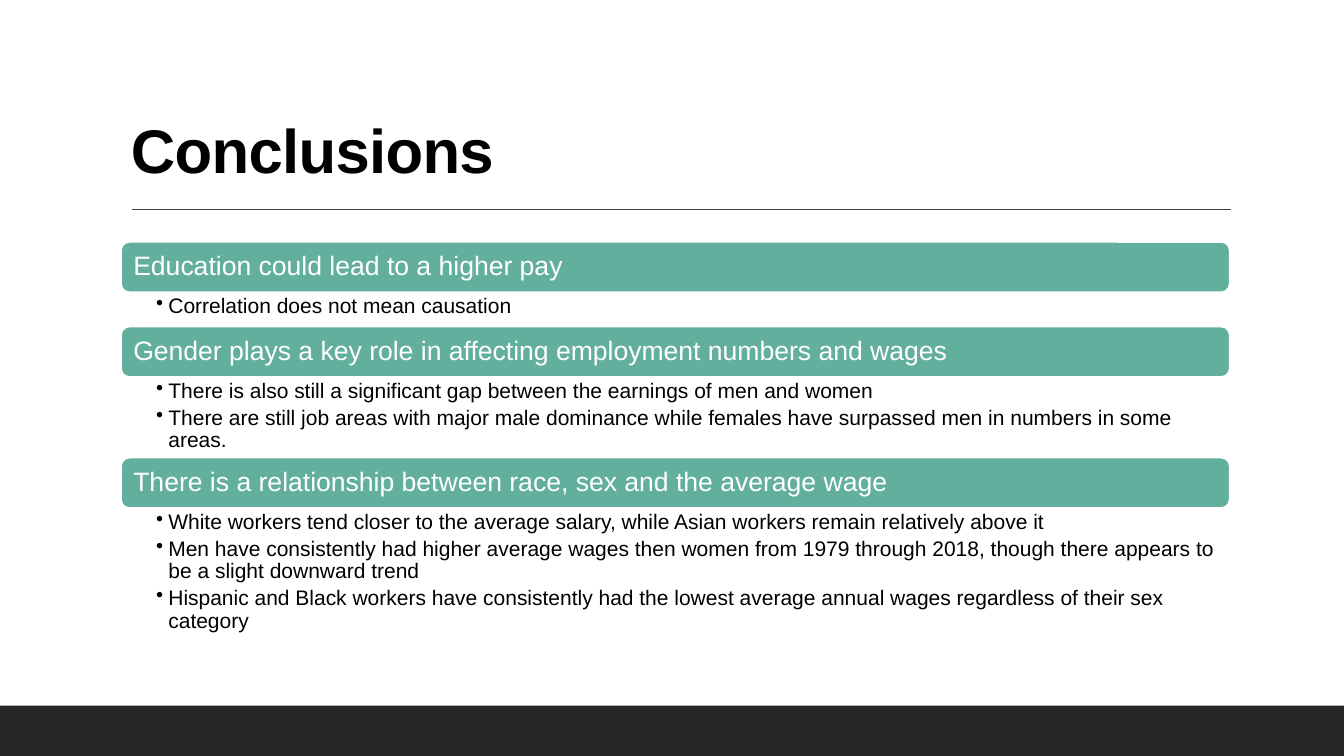
from dataclasses import dataclass

from lxml.etree import SubElement
from pptx import Presentation
from pptx.dml.color import RGBColor
from pptx.enum.shapes import MSO_CONNECTOR, MSO_SHAPE
from pptx.enum.text import MSO_ANCHOR, PP_ALIGN
from pptx.oxml.ns import qn
from pptx.util import Inches, Pt


@dataclass(frozen=True)
class Theme:
    font: str = "Arial"
    ink: str = "000000"
    paper: str = "FFFFFF"
    accent: str = "63AF9D"
    rule: str = "404040"
    footer: str = "262626"
    title_size: int = 44
    heading_size: int = 19
    point_size: int = 15


THEME = Theme()
WIDTH, HEIGHT = Inches(13.33), Inches(7.5)
COLUMNS, ROWS = 200, 150
LEFT, SPAN = 18, 165  # content columns
HEADING_ROWS = 10

# Heading, rows given to its points, points
CONCLUSIONS = [
    ("Education could lead to a higher pay", 6.8,
     ["Correlation does not mean causation"]),
    ("Gender plays a key role in affecting employment numbers and wages", 16,
     ["There is also still a significant gap between the earnings of men and women",
      "There are still job areas with major male dominance while females have "
      "surpassed men in numbers in some areas."]),
    ("There is a relationship between race, sex and the average wage", 25.8,
     ["White workers tend closer to the average salary, while Asian workers "
      "remain relatively above it",
      "Men have consistently had higher average wages then women from 1979 "
      "through 2018, though there appears to be a slight downward trend",
      "Hispanic and Black workers have consistently had the lowest average "
      "annual wages regardless of their sex category"]),
]


def across(columns):
    return round(WIDTH * columns / COLUMNS)


def down(rows):
    return round(HEIGHT * rows / ROWS)


def cell(column, row, columns, rows):
    return across(column), down(row), across(columns), down(rows)


def color(code):
    return RGBColor.from_string(code)


def write(holder, *paragraphs, size, ink=THEME.ink, bold=False, tracking=None,
          anchor=MSO_ANCHOR.TOP, insets=(0.1, 0.05, 0.1, 0.05), after=0, bullet=None):
    """Fill a shape or text box; insets are left, top, right, bottom in inches."""
    frame = holder.text_frame
    frame.word_wrap = True
    frame.vertical_anchor = anchor
    (frame.margin_left, frame.margin_top,
     frame.margin_right, frame.margin_bottom) = map(Inches, insets)
    for number, text in enumerate(paragraphs):
        paragraph = frame.add_paragraph() if number else frame.paragraphs[0]
        paragraph.alignment = PP_ALIGN.LEFT
        paragraph.line_spacing = 0.9
        paragraph.space_after = Pt(after)
        run = paragraph.add_run()
        run.text = text
        run.font.name, run.font.size, run.font.bold = THEME.font, Pt(size), bold
        run.font.color.rgb = color(ink)
        if tracking is not None:
            run._r.get_or_add_rPr().set("spc", str(round(tracking * 100)))
        if bullet:
            paragraph.level = 1
            properties = paragraph._p.get_or_add_pPr()
            properties.set("marL", str(Inches(0.12)))
            properties.set("indent", str(-Inches(0.12)))
            SubElement(properties, qn("a:buChar"), char=bullet)


def add_block(slide, preset, place, fill, outline=None):
    block = slide.shapes.add_shape(preset, *place)
    block.shadow.inherit = False
    block.fill.solid()
    block.fill.fore_color.rgb = color(fill)
    if outline:
        block.line.color.rgb = color(outline)
        block.line.width = Pt(1.25)
    else:
        block.line.fill.background()
    return block


def add_rule(slide, start, end, row):
    rule = slide.shapes.add_connector(
        MSO_CONNECTOR.STRAIGHT, across(start), down(row), across(end), down(row))
    rule.line.color.rgb = color(THEME.rule)
    rule.line.width = Pt(1)
    SubElement(rule._element.spPr, qn("a:effectLst"))


def add_conclusion(slide, row, heading, point_rows, points):
    """Draw a heading bar with its points and return the next free row."""
    bar = add_block(slide, MSO_SHAPE.ROUNDED_RECTANGLE,
                    cell(LEFT, row, SPAN, HEADING_ROWS), THEME.accent, THEME.paper)
    write(bar, heading, size=THEME.heading_size, ink=THEME.paper,
          anchor=MSO_ANCHOR.MIDDLE)
    row += HEADING_ROWS
    details = slide.shapes.add_textbox(*cell(LEFT, row, SPAN, point_rows))
    write(details, *points, size=THEME.point_size,
          insets=(0.35, 0.03, 0.15, 0.03), after=3, bullet="•")
    return row + point_rows


def main():
    deck = Presentation()
    deck.slide_width, deck.slide_height = WIDTH, HEIGHT
    slide = deck.slides.add_slide(deck.slide_layouts[6])

    # Footer band and rule under the title
    add_block(slide, MSO_SHAPE.RECTANGLE, cell(0, 140, COLUMNS, 10), THEME.footer)
    add_rule(slide, 19.65, 183.15, 41.6)

    # Title
    title = slide.shapes.add_textbox(*cell(LEFT, 6.2, SPAN, 31.8))
    write(title, "Conclusions", size=THEME.title_size, bold=True, tracking=-0.5,
          anchor=MSO_ANCHOR.BOTTOM)

    # Conclusions, stacked downwards
    row = 48
    for heading, point_rows, points in CONCLUSIONS:
        row = add_conclusion(slide, row, heading, point_rows, points)

    deck.save("out.pptx")


if __name__ == "__main__":
    main()
